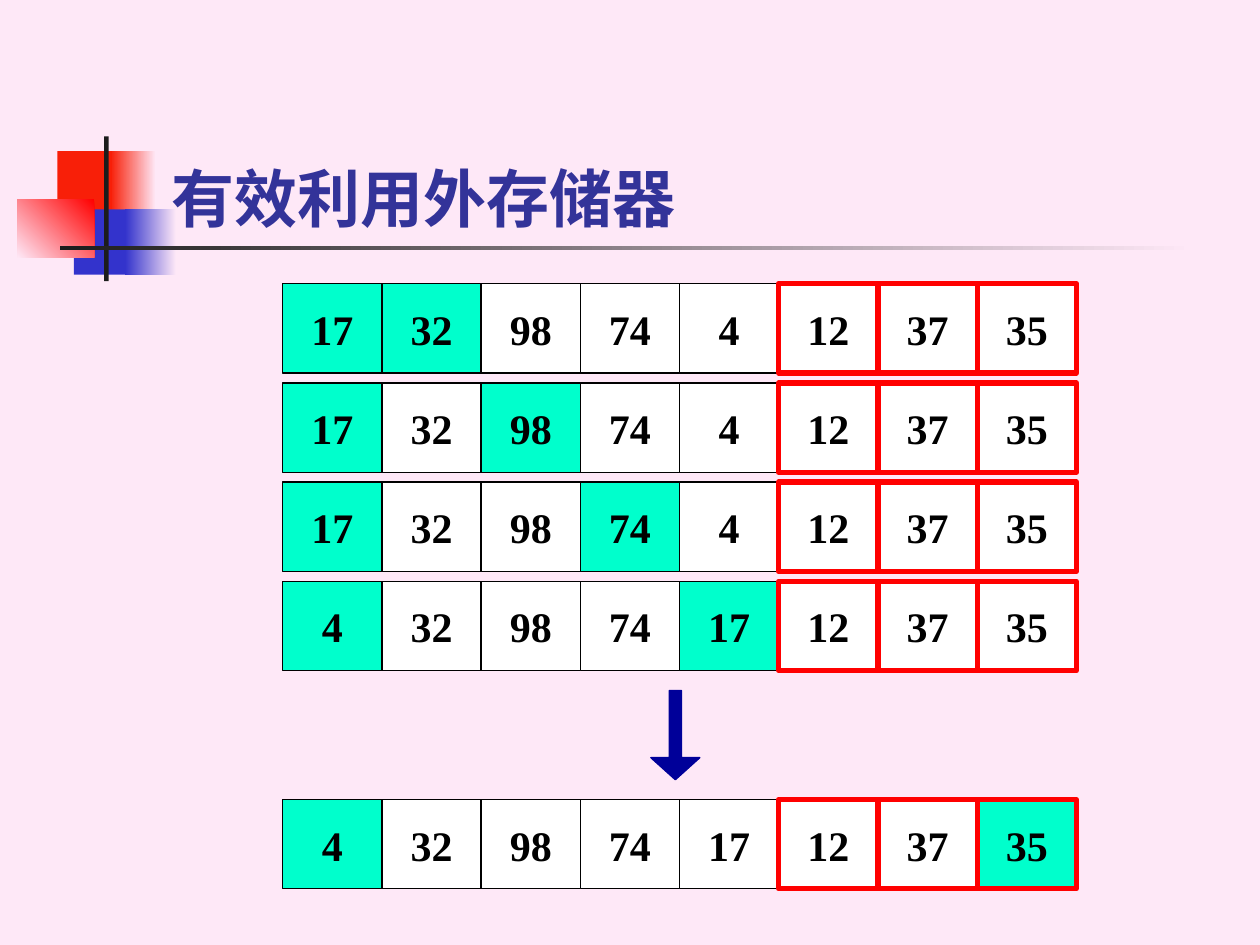
from pptx import Presentation
from pptx import util as u
from pptx.dml import color
from pptx.enum import shapes, text

Cm = u.Cm
RECT = shapes.MSO_SHAPE.RECTANGLE
COLORS = {
    "background": "FEE8F7",
    "red": "F81F08",
    "bright_red": "FF0000",
    "blue": "3333CC",
    "charcoal": "1C1C1C",
    "title": "333399",
    "active": "00FFCC",
    "plain": "FFFFFF",
    "ink": "000000",
    "arrow": "000099",
}
CELL_PITCH, CELL_HEIGHT = 2.0, 1.8
FIRST_EXTERNAL = 5
PASSES = [
    ([17, 32, 98, 74, 4, 12, 37, 35], {0, 1}),
    ([17, 32, 98, 74, 4, 12, 37, 35], {0, 2}),
    ([17, 32, 98, 74, 4, 12, 37, 35], {0, 3}),
    ([4, 32, 98, 74, 17, 12, 37, 35], {0, 4}),
]
RESULT = ([4, 32, 98, 74, 17, 12, 37, 35], {0, 7})


def rgb(name):
    return color.RGBColor.from_string(COLORS[name])


def write(frame, words, size, font, ink, align, anchor, wrap=True, before=0):
    frame.auto_size = text.MSO_AUTO_SIZE.NONE
    frame.word_wrap = wrap
    frame.vertical_anchor = anchor
    frame.margin_left = frame.margin_right = Cm(0.25)
    frame.margin_top = frame.margin_bottom = Cm(0.13)
    paragraph = frame.paragraphs[0]
    paragraph.alignment = align
    paragraph.space_before = u.Pt(before)
    run = paragraph.add_run()
    run.text = words
    run.font.size = u.Pt(size)
    run.font.name = font
    run.font.bold = True
    run.font.color.rgb = rgb(ink)


def add_block(parent, box, fill, kind=RECT, line=None, weight=0.75,
              fade=None, angle=180):
    block = parent.add_shape(kind, *map(Cm, box))
    block.shadow.inherit = False
    if fade:
        block.fill.gradient()
        block.fill.gradient_angle = angle
        for stop, name in zip(block.fill.gradient_stops, (fill, fade)):
            stop.color.rgb = rgb(name)
    else:
        block.fill.solid()
        block.fill.fore_color.rgb = rgb(fill)
    if line:
        block.line.color.rgb = rgb(line)
        block.line.width = u.Pt(weight)
    else:
        block.line.fill.background()
    return block


def add_emblem(slide, left, top):
    parts = [
        ((0.81, 0.3, 1.22, 1.32), "red", {}),
        ((1.88, 0.3, 0.91, 1.32), "background", {"fade": "red"}),
        ((1.14, 1.47, 1.17, 1.32), "blue", {}),
        ((2.18, 1.47, 1.02, 1.32), "background", {"fade": "blue"}),
        ((0, 1.27, 1.55, 1.17), "bright_red", {"fade": "background", "angle": 225}),
        ((1.75, 0, 0.09, 2.92), "charcoal", {}),
        ((0.86, 2.2, 22.86, 0.09), "background", {"fade": "charcoal"}),
    ]
    for (x, y, width, height), fill, style in parts:
        add_block(slide.shapes, (left + x, top + y, width, height), fill, **style)


def add_title(slide, left, top, width, height):
    title = slide.shapes.title
    title.left, title.top, title.width, title.height = map(
        Cm, (left, top, width, height))
    write(title.text_frame, "有效利用外存储器", 36, "Cabin", "title",
          text.PP_ALIGN.LEFT, text.MSO_ANCHOR.BOTTOM)
    title.element.getparent().append(title.element)


def add_array(slide, left, top, values, active):
    cells = slide.shapes.add_group_shape().shapes
    for index, value in enumerate(values):
        external = index >= FIRST_EXTERNAL
        cell = add_block(
            cells, (left + index * CELL_PITCH, top, CELL_PITCH, CELL_HEIGHT),
            "active" if index in active else "plain",
            line="bright_red" if external else "ink",
            weight=3 if external else 0.75)
        write(cell.text_frame, str(value), 24, "Times New Roman", "ink",
              text.PP_ALIGN.CENTER, text.MSO_ANCHOR.MIDDLE, wrap=False, before=15)


def add_passes(slide, left, top):
    for row, (values, active) in enumerate(PASSES):
        add_array(slide, left, top + row * CELL_PITCH, values, active)


def add_result(slide, left, top):
    arrow = add_block(slide.shapes, (left + 7.42, top, 0.99, 1.8), "arrow",
                      kind=shapes.MSO_SHAPE.DOWN_ARROW, line="arrow")
    arrow.adjustments[0] = 0.25
    arrow.adjustments[1] = 0.45
    add_array(slide, left, top + 2.2, *RESULT)


def main():
    deck = Presentation()
    deck.slide_width, deck.slide_height = Cm(25.4), Cm(19.05)
    slide = deck.slides.add_slide(deck.slide_layouts[5])
    slide.background.fill.solid()
    slide.background.fill.fore_color.rgb = rgb("background")
    add_emblem(slide, 0.35, 2.75)
    add_title(slide, 3.2, 1.7, 21.64, 3.18)
    add_passes(slide, 5.7, 5.72)
    add_result(slide, 5.7, 13.92)
    deck.save("out.pptx")


if __name__ == "__main__":
    main()
